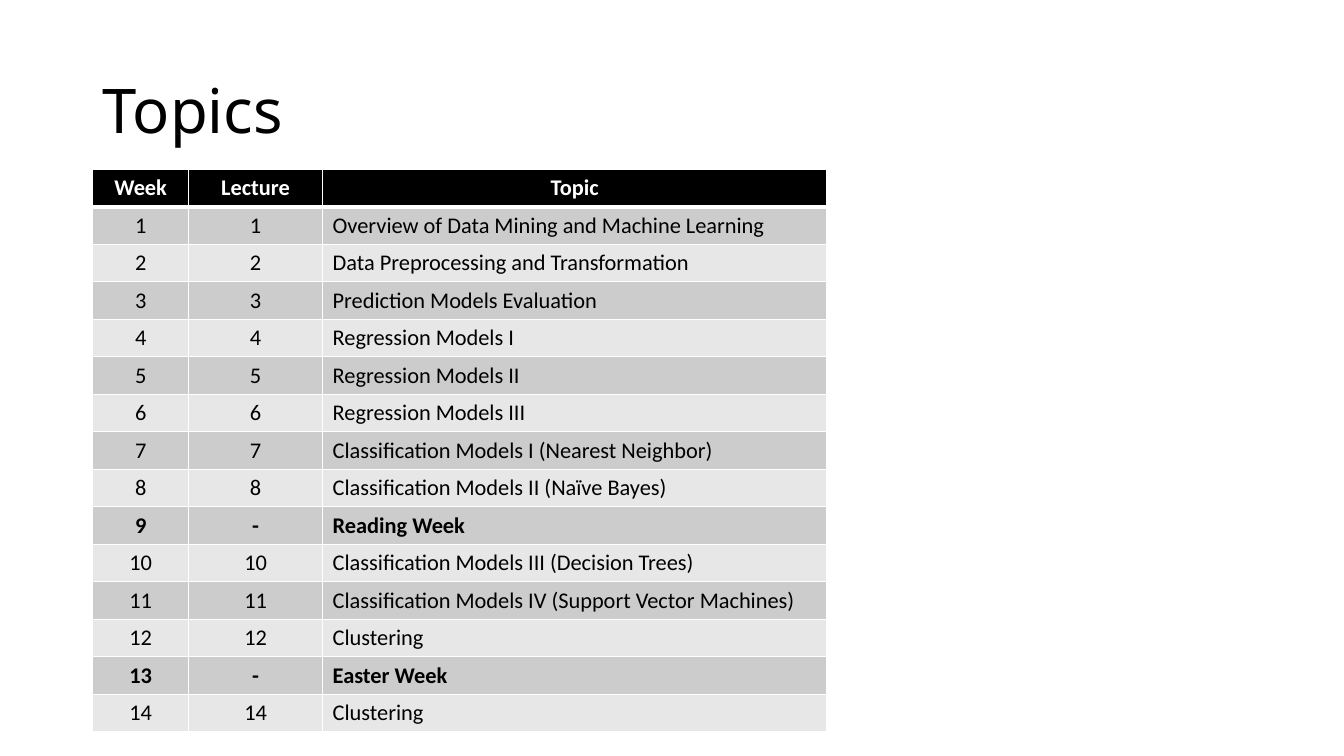
"""Build the course topics slide with its weekly lecture table."""
from dataclasses import dataclass
from typing import Any

from lxml import etree
from pptx import Presentation
from pptx.dml.color import RGBColor
from pptx.enum.text import MSO_ANCHOR, MSO_AUTO_SIZE, PP_ALIGN
from pptx.oxml.ns import qn
from pptx.util import Inches, Pt

LEFT, CENTER = PP_ALIGN.LEFT, PP_ALIGN.CENTER
MIDDLE, NO_AUTOFIT = MSO_ANCHOR.MIDDLE, MSO_AUTO_SIZE.NONE
BLACK = RGBColor(0x00, 0x00, 0x00)
WHITE = RGBColor(0xFF, 0xFF, 0xFF)
BANDS = (RGBColor(0xCC, 0xCC, 0xCC), RGBColor(0xE7, 0xE7, 0xE7))

SLIDE_WIDTH, SLIDE_HEIGHT = Inches(13.33), Inches(7.5)
MARGIN = Inches(0.92)
TABLE_TOP = Inches(1.68)
ROW_HEIGHT = Inches(0.36)
THIN, THICK = Pt(1), Pt(3)
TITLE_ONLY = 5


@dataclass(frozen=True)
class Column:
    """A table column: heading, width and alignment of its entries."""
    heading: str
    width: int
    alignment: PP_ALIGN


@dataclass(frozen=True)
class Session:
    """One week's topic; a break has no lecture."""
    topic: str
    is_break: bool = False


COLUMNS = (
    Column("Week", Inches(0.95), CENTER),
    Column("Lecture", Inches(1.33), CENTER),
    Column("Topic", Inches(5), LEFT),
)
SESSIONS = (
    Session("Overview of Data Mining and Machine Learning"),
    Session("Data Preprocessing and Transformation"),
    Session("Prediction Models Evaluation"),
    Session("Regression Models I"),
    Session("Regression Models II"),
    Session("Regression Models III"),
    Session("Classification Models I (Nearest Neighbor)"),
    Session("Classification Models II (Naïve Bayes)"),
    Session("Reading Week", is_break=True),
    Session("Classification Models III (Decision Trees)"),
    Session("Classification Models IV (Support Vector Machines)"),
    Session("Clustering"),
    Session("Easter Week", is_break=True),
    Session("Clustering"),
)


def apply_format(target: Any, values: dict[str, Any]) -> None:
    """Set each named attribute on the target."""
    for name, value in values.items():
        setattr(target, name, value)


def write_text(paragraph: Any, text: str, alignment: PP_ALIGN,
               color: RGBColor, font: dict[str, Any]) -> None:
    """Write one aligned run with the given font."""
    paragraph.alignment = alignment
    run = paragraph.add_run()
    run.text = text
    apply_format(run.font, font)
    run.font.color.rgb = color


def add_borders(cell: Any, top: int, bottom: int) -> None:
    """Draw white borders on all sides of a cell."""
    properties = cell._tc.get_or_add_tcPr()
    widths = {"a:lnL": THIN, "a:lnR": THIN, "a:lnT": top, "a:lnB": bottom}
    for tag, width in widths.items():
        line = etree.SubElement(properties, qn(tag), w=str(int(width)))
        fill = etree.SubElement(line, qn("a:solidFill"))
        etree.SubElement(fill, qn("a:srgbClr"), val=str(WHITE))


def fill_row(table: Any, index: int, texts: tuple[str, ...], bold: bool) -> None:
    """Fill and style a table row; row zero is the header."""
    header = index == 0
    background = BLACK if header else BANDS[(index - 1) % len(BANDS)]
    table.rows[index].height = ROW_HEIGHT
    for position, (column, text) in enumerate(zip(COLUMNS, texts)):
        cell = table.cell(index, position)
        add_borders(cell, THICK if index == 1 else THIN, THICK if header else THIN)
        cell.fill.solid()
        cell.fill.fore_color.rgb = background
        write_text(cell.text_frame.paragraphs[0], text,
                   CENTER if header else column.alignment,
                   WHITE if header else BLACK,
                   {"name": "Calibri", "size": Pt(16), "bold": bold})


def add_title(slide: Any) -> None:
    """Place and format the slide title."""
    title = slide.shapes.title
    apply_format(title, {"left": MARGIN, "top": Inches(0.4),
                         "width": SLIDE_WIDTH - 2 * MARGIN, "height": Inches(1.45)})
    apply_format(title.text_frame, {"vertical_anchor": MIDDLE, "word_wrap": True,
                                    "auto_size": NO_AUTOFIT})
    paragraph = title.text_frame.paragraphs[0]
    paragraph.line_spacing = 0.9
    write_text(paragraph, "Topics", LEFT, BLACK, {"name": "Noto Sans", "size": Pt(44)})


def add_schedule(slide: Any) -> None:
    """Add the table of weeks, lectures and topics."""
    row_count = len(SESSIONS) + 1
    width = sum(column.width for column in COLUMNS)
    table = slide.shapes.add_table(row_count, len(COLUMNS), MARGIN, TABLE_TOP,
                                   width, row_count * ROW_HEIGHT).table
    for position, column in enumerate(COLUMNS):
        table.columns[position].width = column.width
    fill_row(table, 0, tuple(column.heading for column in COLUMNS), True)
    for week, session in enumerate(SESSIONS, start=1):
        lecture = "-" if session.is_break else str(week)
        fill_row(table, week, (str(week), lecture, session.topic), session.is_break)


def main() -> None:
    """Create and save the presentation."""
    presentation = Presentation()
    apply_format(presentation, {"slide_width": SLIDE_WIDTH, "slide_height": SLIDE_HEIGHT})
    slide = presentation.slides.add_slide(presentation.slide_layouts[TITLE_ONLY])
    add_title(slide)
    add_schedule(slide)
    presentation.save("out.pptx")


main()
